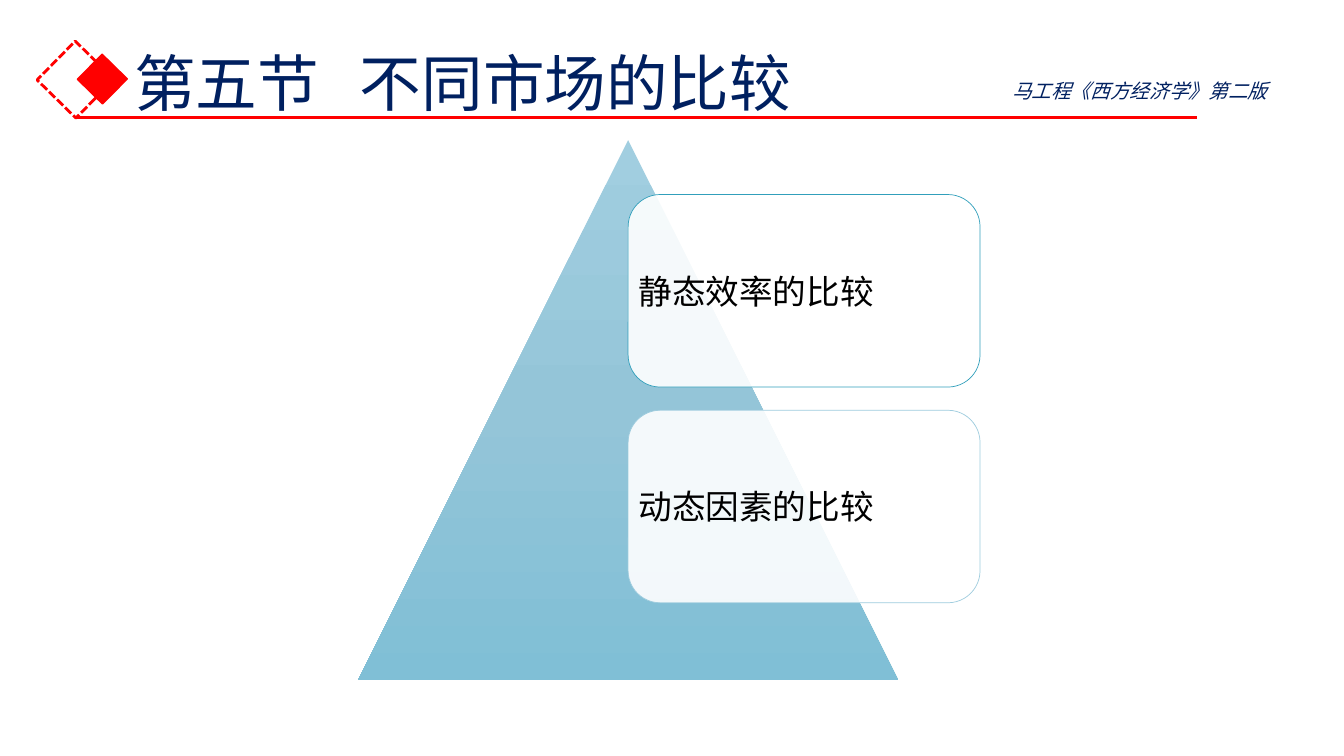
from dataclasses import dataclass

from lxml import etree
from pptx import Presentation
from pptx.dml.color import RGBColor
from pptx.enum import dml, shapes, text
from pptx.oxml import ns
from pptx.util import Inches, Pt


@dataclass(frozen=True)
class Theme:
    font: str = "Noto Sans CJK SC"
    navy: str = "002060"
    red: str = "FF0000"
    black: str = "000000"
    white: str = "FFFFFF"
    pyramid: tuple = ("A1CEE0", "94C5D8", "80BFD6")
    card_lines: tuple = ("319FBB", "9ECCDE")
    title_size: int = 44
    card_size: int = 24
    source_size: int = 14


THEME = Theme()


def rgb(value):
    return RGBColor.from_string(value)


def sub(parent, tag, **attrs):
    return etree.SubElement(parent, ns.qn(tag), attrs)


def write(tf, content, size, color, italic=False, anchor=text.MSO_ANCHOR.TOP,
          line_spacing=None, tab=None):
    """Fill a text frame with one left-aligned paragraph."""
    tf.word_wrap = True
    tf.vertical_anchor = anchor
    p = tf.paragraphs[0]
    if tab is not None:
        tabs = sub(p._p.get_or_add_pPr(), "a:tabLst")
        sub(tabs, "a:tab", pos=str(Inches(tab)), algn="l")
    p.alignment = text.PP_ALIGN.LEFT
    if line_spacing:
        p.line_spacing = line_spacing
    r = p.add_run()
    r.text = content
    r.font.size = Pt(size)
    r.font.bold = False
    r.font.italic = italic
    r.font.color.rgb = rgb(color)
    r.font.name = THEME.font
    sub(r.font._element, "a:ea", typeface=THEME.font)


def add_box(s, kind, left, top, width, height, fill=None, line=None,
            line_width=1.0, rotation=0):
    sp = s.shapes.add_shape(kind, Inches(left), Inches(top),
                            Inches(width), Inches(height))
    sp.shadow.inherit = False
    sp.rotation = rotation
    if fill:
        sp.fill.solid()
        sp.fill.fore_color.rgb = rgb(fill)
    else:
        sp.fill.background()
    if line:
        sp.line.color.rgb = rgb(line)
        sp.line.width = Pt(line_width)
    else:
        sp.line.fill.background()
    return sp


def add_title(s, content):
    sp = s.shapes.title
    sp.left, sp.top = Inches(1.23), Inches(0.13)
    sp.width, sp.height = Inches(11.19), Inches(1.45)
    write(sp.text_frame, content, THEME.title_size, THEME.navy,
          anchor=text.MSO_ANCHOR.MIDDLE, line_spacing=0.9, tab=2.24)
    sp.text_frame.auto_size = text.MSO_AUTO_SIZE.NONE


def add_pyramid(s):
    sp = add_box(s, shapes.MSO_SHAPE.ISOSCELES_TRIANGLE, 3.55, 1.39, 5.36, 5.36)
    sp.fill.gradient()
    sp.fill.gradient_angle = 270  # light at the top, dark at the bottom
    stops = sp._element.spPr.find(ns.qn("a:gradFill")).find(ns.qn("a:gsLst"))
    for stop in list(stops):
        stops.remove(stop)
    for i, color in enumerate(THEME.pyramid):
        sub(sub(stops, "a:gs", pos=str(i * 50000)), "a:srgbClr", val=color)


def add_card(s, top, content, line):
    sp = add_box(s, shapes.MSO_SHAPE.ROUNDED_RECTANGLE, 6.23, top, 3.49, 1.91,
                 fill=THEME.white, line=line, line_width=0.5)
    color = sp._element.spPr.find(ns.qn("a:solidFill"))[0]
    sub(color, "a:alpha", val="90000")
    tf = sp.text_frame
    # The rounded corners already inset the text by 0.09 inch
    tf.margin_left = tf.margin_right = Inches(0.01)
    tf.margin_top = tf.margin_bottom = Inches(0.01)
    write(tf, content, THEME.card_size, THEME.black,
          anchor=text.MSO_ANCHOR.MIDDLE)


def add_header_mark(s):
    square = shapes.MSO_SHAPE.RECTANGLE
    outline = add_box(s, square, 0.48, 0.52, 0.54, 0.54, line=THEME.red,
                      line_width=2, rotation=314.5)
    outline.line.dash_style = dml.MSO_LINE.SQUARE_DOT
    add_box(s, square, 0.84, 0.61, 0.35, 0.35, fill=THEME.red,
            line=THEME.red, rotation=314.5)


def add_rule(s):
    rule = s.shapes.add_connector(shapes.MSO_CONNECTOR.STRAIGHT, Inches(0.75),
                                  Inches(1.17), Inches(11.87), Inches(1.17))
    rule.line.color.rgb = rgb(THEME.red)
    rule.line.width = Pt(2.25)
    sub(rule._element.spPr, "a:effectLst")


def add_source(s, content):
    sp = s.shapes.add_textbox(Inches(9.94), Inches(0.73),
                              Inches(3.24), Inches(0.34))
    write(sp.text_frame, content, THEME.source_size, THEME.navy, italic=True)


def main():
    prs = Presentation()
    prs.slide_width, prs.slide_height = Inches(13.33), Inches(7.5)
    s = prs.slides.add_slide(prs.slide_layouts[5])

    # Title
    add_title(s, "第五节\t不同市场的比较")

    # Pyramid with its two topics
    add_pyramid(s)
    topics = ("静态效率的比较", "动态因素的比较")
    for i, (topic, line) in enumerate(zip(topics, THEME.card_lines)):
        add_card(s, 1.93 + i * 2.14, topic, line)

    # Header decoration and source
    add_header_mark(s)
    add_rule(s)
    add_source(s, "马工程《西方经济学》第二版")

    prs.save("out.pptx")


if __name__ == "__main__":
    main()
